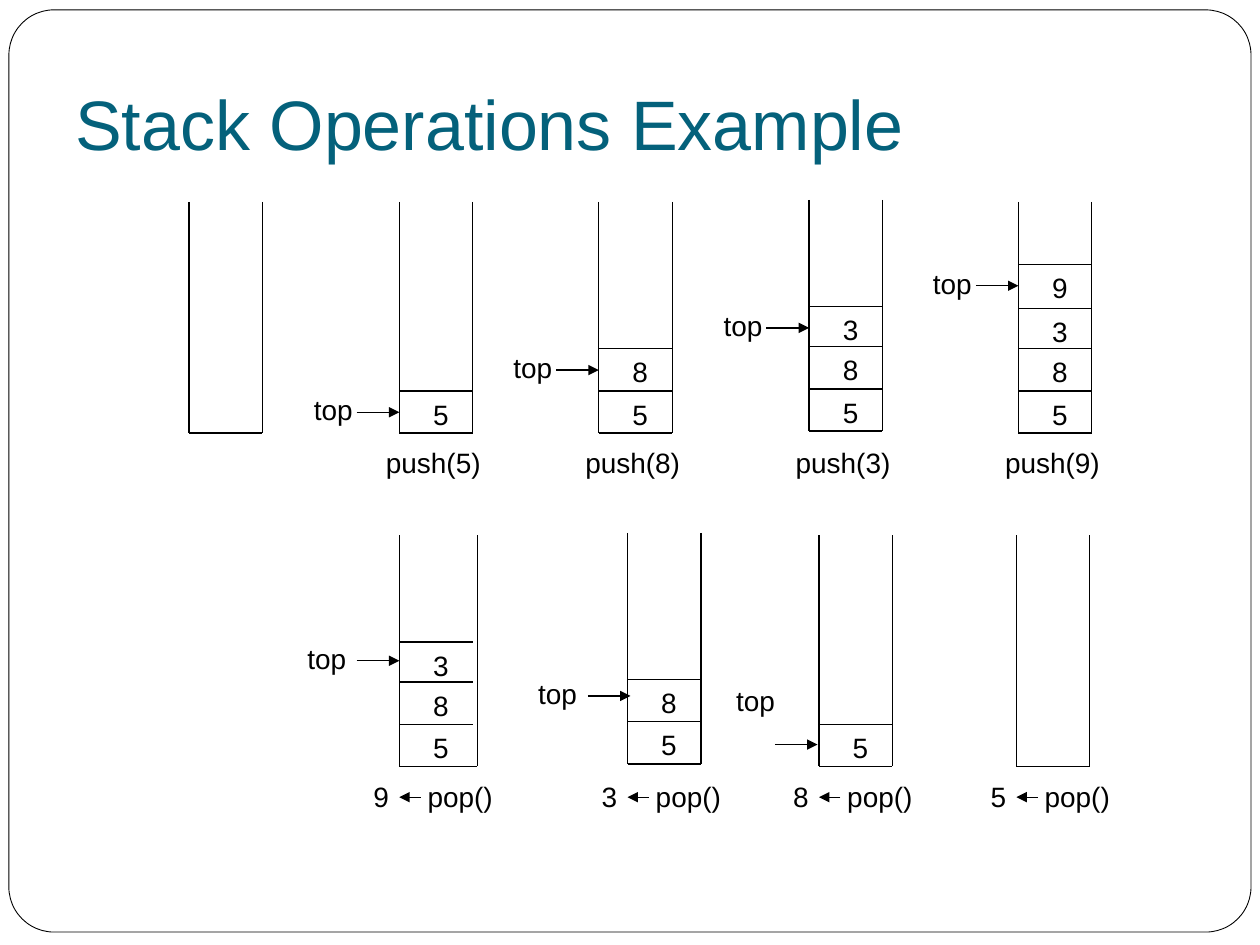
from pptx import Presentation
from pptx.dml.color import RGBColor
from pptx.enum.shapes import MSO_CONNECTOR, MSO_SHAPE
from pptx.enum.text import MSO_ANCHOR, PP_ALIGN
from pptx.oxml.ns import qn
from pptx.util import Cm, Pt
from lxml import etree

STRAIGHT = MSO_CONNECTOR.STRAIGHT
ROUNDED = MSO_SHAPE.ROUNDED_RECTANGLE
TOP, BOTTOM = MSO_ANCHOR.TOP, MSO_ANCHOR.BOTTOM
LEFT, CENTER = PP_ALIGN.LEFT, PP_ALIGN.CENTER
BLACK = RGBColor(0x00, 0x00, 0x00)
WHITE = RGBColor(0xFF, 0xFF, 0xFF)
TEAL = RGBColor(0x04, 0x61, 0x7B)

# Stack measures in cm; cells are listed from the bottom up
STACK_WIDTH, STACK_HEIGHT = 1.48, 4.66
CELL_HEIGHTS = [0.85, 0.85, 0.81, 0.89]
TEXT_HEIGHT = 0.94
POP_TAB = 1.09

deck = Presentation()
deck.slide_width, deck.slide_height = Cm(25.4), Cm(19.05)
page = deck.slides.add_slide(deck.slide_layouts[6])


def add_line(x1, y1, x2, y2, arrow=False):
    line = page.shapes.add_connector(STRAIGHT, Cm(x1), Cm(y1), Cm(x2), Cm(y2))
    line.line.color.rgb = BLACK
    line.line.width = Pt(0.75)
    if arrow:
        etree.SubElement(line.line._get_or_add_ln(), qn("a:tailEnd"), type="triangle")
    etree.SubElement(line._element.spPr, qn("a:effectLst"))


def add_text(text, left, top, width, height=TEXT_HEIGHT, size=16, color=BLACK,
             align=CENTER, anchor=TOP, wrap=False):
    box = page.shapes.add_textbox(Cm(left), Cm(top), Cm(width), Cm(height))
    frame = box.text_frame
    frame.word_wrap = wrap
    frame.vertical_anchor = anchor
    para = frame.paragraphs[0]
    para.text = text
    para.alignment = align
    para.font.name = "Arial"
    para.font.size = Pt(size)
    para.font.color.rgb = color
    return box


# Slide border
border = page.shapes.add_shape(ROUNDED, Cm(0.18), Cm(0.2), Cm(25.04), Cm(18.59))
border.adjustments[0] = 0.049
border.shadow.inherit = False
border.fill.solid()
border.fill.fore_color.rgb = WHITE
border.line.color.rgb = BLACK
border.line.width = Pt(0.5)

# Title
title = add_text("Stack Operations Example", 1.27, 1.02, 22.86, 2.54, 40, TEAL,
                 LEFT, BOTTOM, True)
title.text_frame.margin_bottom = Cm(0.25)

# Offsets of the "top" pointer: label x from the stack, label y from the arrow,
# arrow tip x from the stack, arrow y from the uppermost divider
PUSH_POINTER = (-1.98, -0.52, 0, 0.43)

# Left, bottom, width, values, operation, popped value, pointer
stacks = [
    (3.81, 8.73, STACK_WIDTH, "", "", "", None),
    (8.05, 8.73, STACK_WIDTH, "5", "push(5)", "", PUSH_POINTER),
    (12.07, 8.73, STACK_WIDTH, "58", "push(8)", "", PUSH_POINTER),
    (16.31, 8.69, STACK_WIDTH, "583", "push(3)", "", PUSH_POINTER),
    (20.53, 8.73, STACK_WIDTH, "5839", "push(9)", "", PUSH_POINTER),
    (8.05, 15.45, 1.57, "583", "pop()", "9", (-2.11, -0.52, 0, 0.38)),
    (12.65, 15.4, STACK_WIDTH, "58", "pop()", "3", (-2.06, -0.52, 0.06, 0.33)),
    (16.51, 15.45, STACK_WIDTH, "5", "pop()", "8", (-1.93, -1.35, -0.03, 0.41)),
    (20.49, 15.45, STACK_WIDTH, "", "pop()", "5", None),
]

for left, bottom, width, values, operation, popped, pointer in stacks:
    # Open container
    right, rim = left + width, bottom - STACK_HEIGHT
    add_line(left, rim, left, bottom)
    add_line(right, rim, right, bottom)
    add_line(left, bottom, right, bottom)

    # Cells with their values
    level = bottom
    for value, cell_height in zip(values, CELL_HEIGHTS):
        level -= cell_height
        add_line(left, level, left + STACK_WIDTH, level)
        add_text(value, left + 0.43, level, 0.81)

    # Pointer to the uppermost cell
    if pointer:
        label_x, label_y, tip_x, arrow_y = pointer
        tip, height = left + tip_x, level + arrow_y
        add_line(tip - 0.86, height, tip, height, arrow=True)
        add_text("top", left + label_x, height + label_y, 1.3)

    # Operation below the stack
    if popped:
        caption = add_text(f"{popped}\t{operation}", left - 0.77, 15.6, 2.92, align=LEFT)
        properties = caption.text_frame.paragraphs[0]._p.get_or_add_pPr()
        tabs = etree.Element(qn("a:tabLst"))
        etree.SubElement(tabs, qn("a:tab"), pos=str(Cm(POP_TAB)), algn="l")
        properties.find(qn("a:defRPr")).addprevious(tabs)
        add_line(left + 0.43, 16.07, left, 16.07, arrow=True)
    elif operation:
        add_text(operation, left - 0.52, 8.86, 2.41)

deck.save("out.pptx")
